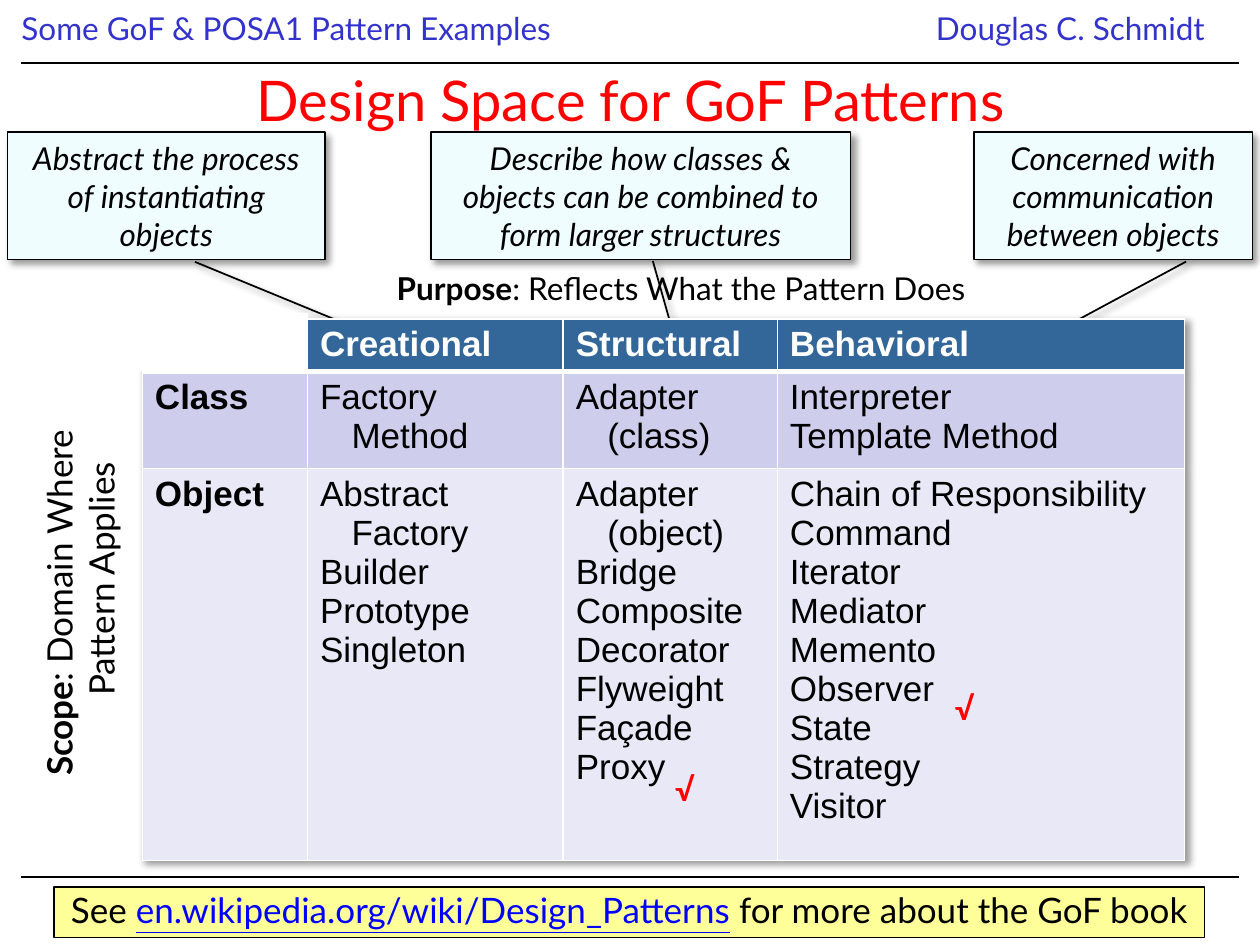
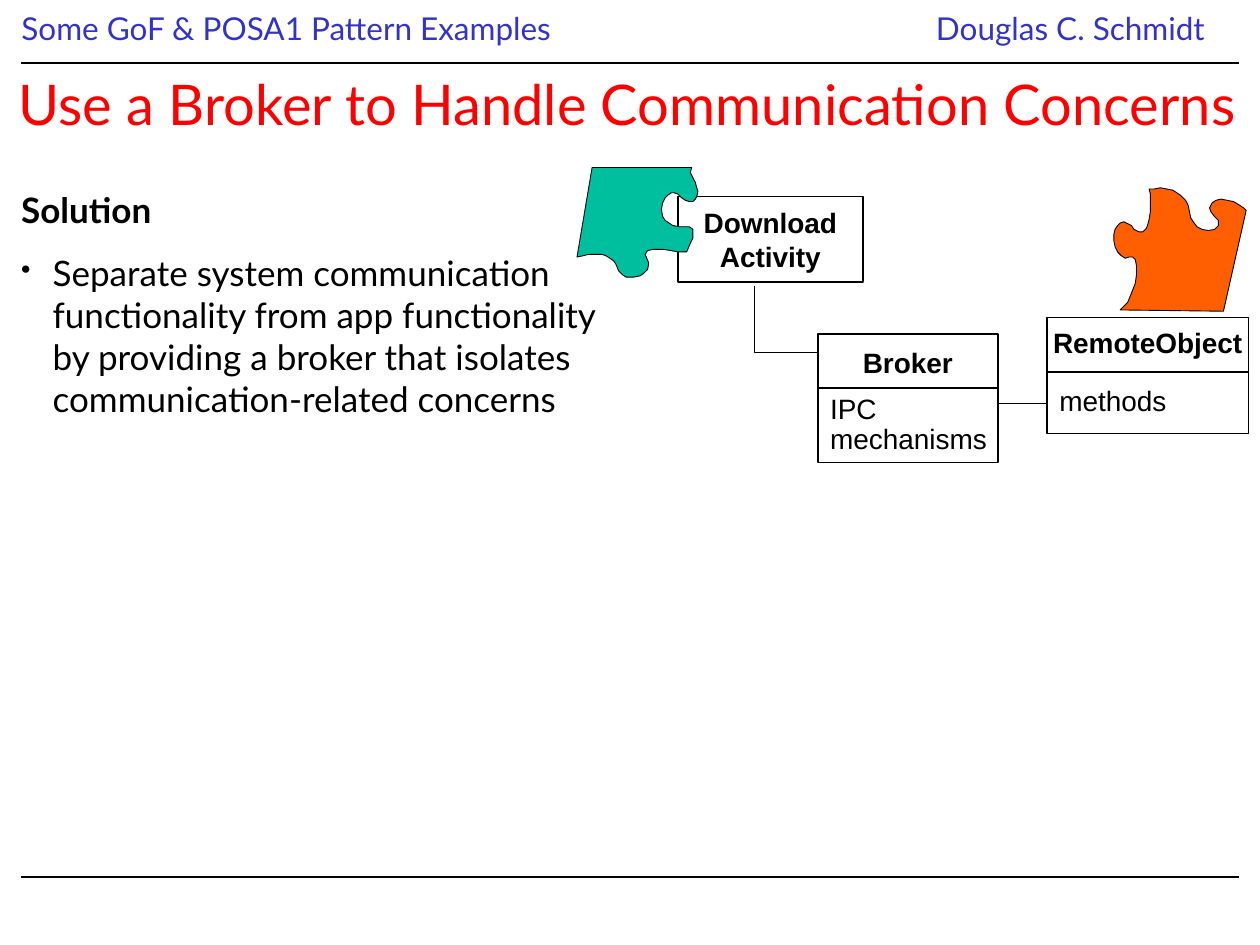
from dataclasses import dataclass

from lxml import etree
from pptx import Presentation
from pptx.dml.color import RGBColor
from pptx.enum.shapes import MSO_CONNECTOR as CONN, MSO_SHAPE as SHAPE
from pptx.enum.text import MSO_ANCHOR as ANCHOR, MSO_AUTO_SIZE as AUTO, PP_ALIGN as ALIGN
from pptx.oxml import parse_xml
from pptx.oxml.ns import nsdecls, qn
from pptx.util import Inches, Pt


@dataclass(frozen=True)
class Theme:
    body: str = "Lato"
    label: str = "Arial"
    title_size: int = 32
    text_size: int = 20
    small_size: int = 18
    uml_size: int = 16
    black: str = "000000"
    white: str = "FFFFFF"
    red: str = "FF0000"
    header: str = "3333CC"
    link: str = "0000FF"
    callout: str = "EFFDFF"
    note: str = "FFFF99"
    teal: str = "00BF9F"
    orange: str = "FF5F00"
    table_rows: tuple = ("336699", "CECEEC", "E8E8F6")


T = Theme()

COLUMNS = (1.31, 2.03, 1.70, 3.23)
ROWS = (0.42, 0.77, 3.11)
PATTERNS = (
    ("", "Creational", "Structural", "Behavioral"),
    ("Class", "Factory Method", "Adapter (class)", "Interpreter|Template Method"),
    ("Object", "Abstract Factory|Builder|Prototype|Singleton",
     "Adapter (object)|Bridge|Composite|Decorator|Flyweight|Façade|Proxy",
     "Chain of Responsibility|Command|Iterator|Mediator|Memento|Observer|State|Strategy|Visitor"),
)

CALLOUTS = (
    (0.06, 2.52, (1.018, 0.59, 1.699, 1.253),
     "Abstract the process of instantiating objects"),
    (3.42, 3.33, (1.011, 0.529, 1.595, 0.579),
     "Describe how classes & objects can be combined to form larger structures"),
    (7.73, 2.21, (1.016, 0.762, 1.683, 0.196),
     "Concerned with communication between objects"),
)

REMOTE_PIECE = (
    (9.87, 1.65), (9.89, 1.67), (9.71, 2.47), (8.89, 2.46), (8.92, 2.43), (8.95, 2.40),
    (8.97, 2.35), (8.99, 2.30), (9.01, 2.25), (9.02, 2.18), (9.02, 2.11), (9.01, 2.06),
    (8.99, 2.04), (8.96, 2.04), (8.93, 2.05), (8.90, 2.03), (8.87, 2.00), (8.85, 1.96),
    (8.84, 1.91), (8.84, 1.86), (8.85, 1.82), (8.87, 1.79), (8.89, 1.77), (8.92, 1.76),
    (8.94, 1.77), (8.98, 1.79), (9.00, 1.82), (9.04, 1.84), (9.07, 1.84), (9.10, 1.81),
    (9.11, 1.78), (9.12, 1.74), (9.13, 1.68), (9.13, 1.54), (9.12, 1.50), (9.16, 1.50),
    (9.21, 1.49), (9.26, 1.50), (9.31, 1.51), (9.37, 1.55), (9.41, 1.59), (9.43, 1.63),
    (9.44, 1.68), (9.45, 1.73), (9.47, 1.76), (9.50, 1.80), (9.54, 1.82), (9.59, 1.83),
    (9.64, 1.82), (9.67, 1.79), (9.67, 1.75), (9.64, 1.72), (9.61, 1.68), (9.60, 1.65),
    (9.62, 1.61), (9.65, 1.59), (9.69, 1.58), (9.74, 1.59), (9.79, 1.60), (9.84, 1.63),
)
DOWNLOAD_PIECE = (
    (4.58, 2.04), (4.70, 1.33), (5.49, 1.33), (5.48, 1.37), (5.50, 1.41), (5.52, 1.45),
    (5.53, 1.49), (5.54, 1.52), (5.53, 1.56), (5.52, 1.58), (5.50, 1.60), (5.47, 1.60),
    (5.44, 1.59), (5.41, 1.57), (5.38, 1.54), (5.35, 1.53), (5.33, 1.53), (5.30, 1.55),
    (5.28, 1.57), (5.26, 1.61), (5.25, 1.66), (5.26, 1.72), (5.28, 1.75), (5.31, 1.77),
    (5.34, 1.79), (5.39, 1.80), (5.47, 1.80), (5.50, 1.82), (5.50, 1.89), (5.48, 1.93),
    (5.45, 2.00), (5.38, 2.00), (5.33, 1.99), (5.27, 1.98), (5.18, 1.98), (5.14, 1.99),
    (5.12, 2.02), (5.13, 2.04), (5.15, 2.09), (5.14, 2.14), (5.11, 2.17), (5.08, 2.19),
    (5.03, 2.20), (4.97, 2.20), (4.94, 2.18), (4.91, 2.15), (4.89, 2.10), (4.87, 2.07),
    (4.84, 2.05), (4.81, 2.03), (4.78, 2.02), (4.67, 2.02), (4.63, 2.03),
)


def rgb(color):
    return RGBColor.from_string(color)


def inches(values):
    return [Inches(v) for v in values]


def write(p, text, size=T.small_size, font=T.body, color=T.black, bold=False,
          italic=False, underline=False, align=None, spacing=None, before=None):
    if align is not None:
        p.alignment = align
    if spacing is not None:
        p.line_spacing = spacing
    if before is not None:
        p.space_before = before
    for i, line in enumerate(text.split("\n")):
        if i:
            p.add_line_break()
        r = p.add_run()
        r.text = line
        f = r.font
        f.size, f.name, f.bold, f.italic = Pt(size), font, bold, italic
        f.underline = underline
        f.color.rgb = rgb(color)


def hang(p, indent):
    pr = p._p.get_or_add_pPr()
    pr.set("marL", str(Inches(indent)))
    pr.set("indent", str(-Inches(indent)))
    return pr


def add_bullet(p):
    pr = hang(p, 0.25)
    clr = etree.SubElement(pr, qn("a:buClr"))
    etree.SubElement(clr, qn("a:srgbClr"), val=T.black)
    etree.SubElement(pr, qn("a:buSzPct"), val="80000")
    etree.SubElement(pr, qn("a:buChar"), char="•")


def shadow_xml():
    return parse_xml(
        f'<a:effectLst {nsdecls("a")}><a:outerShdw blurRad="{Pt(4)}" dist="{Pt(3)}" '
        f'dir="2700000" algn="tl" rotWithShape="0"><a:srgbClr val="{T.black}">'
        '<a:alpha val="40000"/></a:srgbClr></a:outerShdw></a:effectLst>')


def paint(s, fill, line=T.black, width=1.0):
    s.shadow.inherit = False
    if fill:
        s.fill.solid()
        s.fill.fore_color.rgb = rgb(fill)
    else:
        s.fill.background()
    s.line.color.rgb = rgb(line)
    s.line.width = Pt(width)


def add_text(slide, at, text="", wrap=True, **fmt):
    tf = slide.shapes.add_textbox(*inches(at)).text_frame
    tf.word_wrap = wrap
    if text:
        write(tf.paragraphs[0], text, **fmt)
    return tf


def add_box(slide, at, fill=T.white, text="", shape=SHAPE.RECTANGLE, line=T.black,
            width=1.0, wrap=True, **fmt):
    s = slide.shapes.add_shape(shape, *inches(at))
    paint(s, fill, line, width)
    s.text_frame.word_wrap = wrap
    s.text_frame.vertical_anchor = ANCHOR.MIDDLE
    if text:
        write(s.text_frame.paragraphs[0], text, **fmt)
    return s


def add_callout(slide, left, width, pointer, text):
    s = add_box(slide, (left, 1.05, width, 1.01), T.callout, text,
                shape=SHAPE.LINE_CALLOUT_1, italic=True, align=ALIGN.CENTER)
    for i, value in enumerate(pointer):
        s.adjustments[i] = value
    effects = s._element.spPr.find(qn("a:effectLst"))
    effects.getparent().replace(effects, shadow_xml())


def add_path(slide, points, fill=None, width=0.75):
    first, *rest = [inches(pt) for pt in points]
    builder = slide.shapes.build_freeform(*first)
    builder.add_line_segments(rest, close=fill is not None)
    paint(builder.convert_to_shape(), fill, width=width)


def add_rule(slide, y):
    c = slide.shapes.add_connector(CONN.STRAIGHT, *inches((0.17, y, 9.83, y)))
    c.line.color.rgb = rgb(T.black)
    c.line.width = Pt(0.75)
    etree.SubElement(c._element.spPr, qn("a:effectLst"))


def add_slide(prs, title, at):
    slide = prs.slides.add_slide(prs.slide_layouts[5])
    tf = add_text(slide, (0.17, 0.06, 5.92, 0.37), "Some GoF & POSA1 Pattern Examples",
                  color=T.header, spacing=0.9)
    tf.margin_left = tf.margin_right = 0
    add_text(slide, (7.33, 0.06, 2.51, 0.40), "Douglas C. Schmidt",
             color=T.header, spacing=0.9)
    for y in (0.5, 6.96):
        add_rule(slide, y)
    s = slide.shapes.title
    s.left, s.top, s.width, s.height = inches(at)
    tf = s.text_frame
    tf.auto_size, tf.word_wrap, tf.vertical_anchor = AUTO.NONE, True, ANCHOR.MIDDLE
    write(tf.paragraphs[0], title, size=T.title_size, color=T.red, align=ALIGN.CENTER)
    return slide


def set_borders(cell, bottom):
    pr = cell._tc.get_or_add_tcPr()
    for side, width in (("L", 1), ("R", 1), ("T", 1), ("B", bottom)):
        ln = etree.SubElement(pr, qn(f"a:ln{side}"), w=str(Pt(width)))
        fill = etree.SubElement(ln, qn("a:solidFill"))
        etree.SubElement(fill, qn("a:srgbClr"), val=T.white)


def fill_cell(cell, text, row, col):
    set_borders(cell, 1 if row else 3)
    cell.fill.solid()
    cell.fill.fore_color.rgb = rgb(T.table_rows[row])
    for i, name in enumerate(text.split("|") if text else ()):
        p = cell.text_frame.add_paragraph() if i else cell.text_frame.paragraphs[0]
        if row and col:
            hang(p, 0.25)
        write(p, name, size=T.text_size, font=T.label, spacing=Pt(22.3),
              color=T.black if row else T.white, bold=not (row and col))


def add_pattern_table(slide):
    at = inches((1.13, 2.53, sum(COLUMNS), sum(ROWS)))
    table = slide.shapes.add_table(len(ROWS), len(COLUMNS), *at).table
    table._tbl.tblPr.insert(0, shadow_xml())
    for col, width in enumerate(COLUMNS):
        table.columns[col].width = Inches(width)
    for row, height in enumerate(ROWS):
        table.rows[row].height = Inches(height)
        for col, text in enumerate(PATTERNS[row]):
            fill_cell(table.cell(row, col), text, row, col)


def design_space(prs):
    slide = add_slide(prs, "Design Space for GoF Patterns", (0.17, 0.58, 9.67, 0.42))
    for callout in CALLOUTS:
        add_callout(slide, *callout)

    s = add_box(slide, (0.43, 7.04, 9.13, 0.40), T.note, width=0.75, wrap=False)
    p = s.text_frame.paragraphs[0]
    for text, fmt in (("See ", {}),
                      ("en.wikipedia.org/wiki/Design_Patterns",
                       {"color": T.link, "underline": True}),
                      (" for more about the GoF book", {})):
        write(p, text, size=T.text_size, align=ALIGN.CENTER, spacing=0.9, **fmt)

    tf = add_text(slide, (3.05, 2.12, 4.85, 0.37), "Purpose", wrap=False,
                  bold=True, spacing=0.9)
    write(tf.paragraphs[0], ": Reflects What the Pattern Does")
    add_pattern_table(slide)

    s = slide.shapes.add_textbox(*inches((-1.58, 4.56, 4.11, 0.45)))
    s.rotation = 270
    s.text_frame.word_wrap = True
    p = s.text_frame.paragraphs[0]
    hang(p, 0.38)
    write(p, "Scope", size=T.text_size, bold=True, align=ALIGN.CENTER)
    write(p, ": Domain Where\nPattern Applies", size=T.text_size)

    for left, top in ((7.48, 5.45), (5.26, 6.10)):
        add_text(slide, (left, top, 0.41, 0.37), "√", wrap=False,
                 color=T.red, bold=True, spacing=0.9)
    add_box(slide, (1.02, 2.49, 1.42, 0.45), line=T.white, width=0.75)


def add_uml(slide, at, text, spacing=None, heading=True):
    add_box(slide, at, text=text, wrap=False, size=T.uml_size, font=T.label, bold=heading,
            spacing=spacing, align=ALIGN.CENTER if heading else ALIGN.LEFT)


def broker(prs):
    slide = add_slide(prs, "Use a Broker to Handle Communication Concerns",
                      (-0.04, 0.61, 10.04, 0.42))
    add_uml(slide, (5.38, 1.56, 1.47, 0.68), "Download\nActivity", Pt(19.4))

    tf = add_text(slide, (0.07, 1.45, 9.93, 1.95), "Solution", size=T.text_size, bold=True)
    p = tf.add_paragraph()
    add_bullet(p)
    write(p, "Separate system communication\nfunctionality from app functionality\n"
          "by providing a broker that isolates\ncommunication-related concerns",
          size=T.text_size, before=Pt(12))

    add_path(slide, REMOTE_PIECE, T.orange, 0.5)
    add_path(slide, ((5.99, 2.27), (5.99, 2.80), (6.49, 2.80)))
    add_path(slide, ((7.53, 3.04), (7.53, 3.20), (8.48, 3.20)))
    add_uml(slide, (8.31, 2.52, 1.60, 0.43), "RemoteObject", 0.9)
    add_uml(slide, (8.31, 2.95, 1.60, 0.49), "methods", 0.9, heading=False)
    add_path(slide, DOWNLOAD_PIECE, T.teal, 0.5)
    add_uml(slide, (6.49, 2.65, 1.43, 0.48), "Broker", 0.9)
    add_uml(slide, (6.49, 3.08, 1.43, 0.59), "IPC\nmechanisms", Pt(17.1), heading=False)


def main():
    prs = Presentation()
    prs.slide_width, prs.slide_height = Inches(10), Inches(7.5)
    design_space(prs)
    broker(prs)
    prs.save("out.pptx")


if __name__ == "__main__":
    main()
